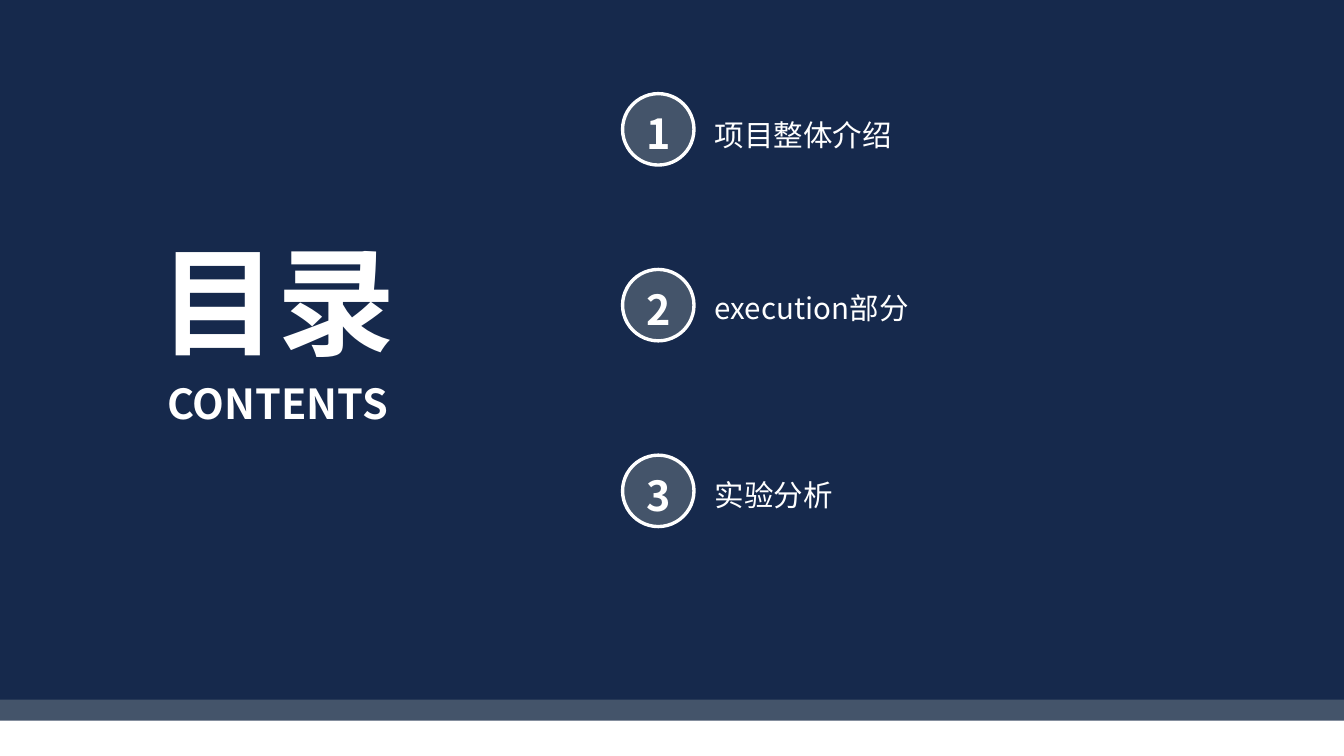
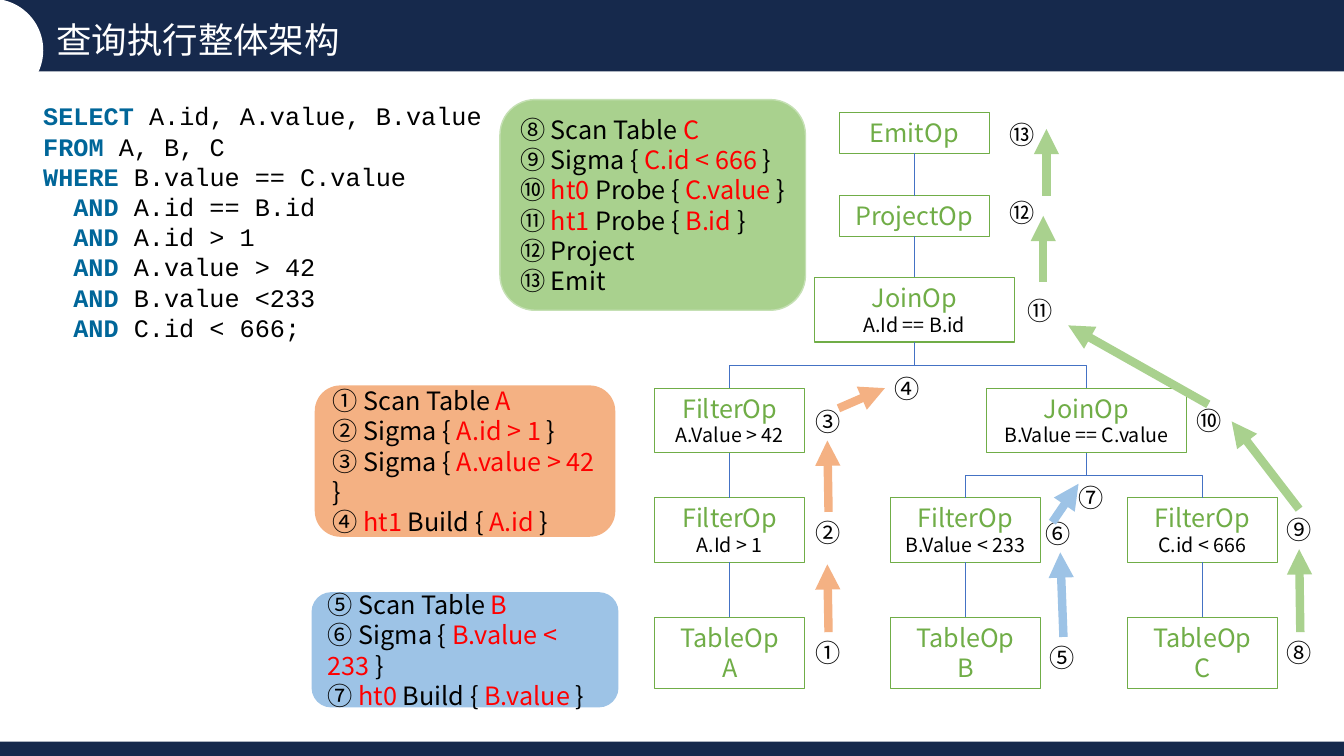
from lxml.etree import SubElement
from pptx import Presentation
from pptx.dml.color import RGBColor
from pptx.enum.shapes import MSO_CONNECTOR as CONN, MSO_SHAPE as SHAPE
from pptx.enum.text import MSO_ANCHOR as ANCHOR, MSO_AUTO_SIZE as AUTO, PP_ALIGN as ALIGN
from pptx.oxml.ns import qn
from pptx.util import Cm, Pt

NAVY = RGBColor(0x16, 0x29, 0x4C)
SLATE = RGBColor(0x44, 0x54, 0x6A)
WHITE = RGBColor(0xFF, 0xFF, 0xFF)
BLACK = RGBColor(0x00, 0x00, 0x00)
RED = RGBColor(0xFF, 0x00, 0x00)
KEYWORD = RGBColor(0x00, 0x66, 0x99)
OP_GREEN = RGBColor(0x70, 0xAD, 0x47)
LINK_BLUE = RGBColor(0x44, 0x72, 0xC4)
GREEN = RGBColor(0xA9, 0xD1, 0x8E)
PALE_GREEN = RGBColor(0xC5, 0xE0, 0xB4)
ORANGE = RGBColor(0xF4, 0xB1, 0x83)
BLUE = RGBColor(0x9D, 0xC3, 0xE6)

SANS = "Noto Sans CJK SC"
MONO = "Courier New"
SLIDE_W, SLIDE_H = 33.87, 19.05


def add_run(p, text, size, color, bold=False, font=SANS):
    """Append one formatted run to a paragraph."""
    r = p.add_run()
    r.text = text
    r.font.size, r.font.bold, r.font.name = Pt(size), bold, font
    r.font.color.rgb = color
    SubElement(r.font._element, qn("a:ea"), typeface=font)


def add_marked(p, text, size, accent, bold=False, font=SANS):
    """Append black text whose parts between bars take the accent colour."""
    for i, part in enumerate(text.split("|")):
        if part:
            marked = i % 2 == 1
            add_run(p, part, size, accent if marked else BLACK, bold and marked, font)


def paragraphs(tf, items):
    """Yield one paragraph of the frame for each item."""
    for i, item in enumerate(items):
        yield (tf.add_paragraph() if i else tf.paragraphs[0]), item


def add_box(s, kind, x, y, w, h, fill=None, line=None, width=1):
    """Add a preset shape with plain fill and line."""
    sp = s.shapes.add_shape(kind, Cm(x), Cm(y), Cm(w), Cm(h))
    sp.shadow.inherit = False
    if fill is None:
        sp.fill.background()
    else:
        sp.fill.solid()
        sp.fill.fore_color.rgb = fill
    if line is None:
        sp.line.fill.background()
    else:
        sp.line.color.rgb = line
        sp.line.width = Pt(width)
    return sp


def set_label(sp, text, size, bold=False, align=ALIGN.LEFT):
    """Write one white line, centred vertically and without margins."""
    tf = sp.text_frame
    tf.word_wrap = True
    tf.vertical_anchor = ANCHOR.MIDDLE
    tf.margin_left = tf.margin_right = tf.margin_top = tf.margin_bottom = 0
    p = tf.paragraphs[0]
    p.alignment, p.line_spacing = align, 1.16
    add_run(p, text, size, WHITE, bold)


def add_label(s, x, y, w, h, *style):
    """Add a text box holding one white line."""
    tb = s.shapes.add_textbox(Cm(x), Cm(y), Cm(w), Cm(h))
    set_label(tb, *style)
    tb.text_frame.auto_size = AUTO.SHAPE_TO_FIT_TEXT


def set_title(s, x, y, w, h, *style):
    """Place the title placeholder in front of the bands and fill it."""
    title = s.shapes.title
    s.shapes.element.append(title.element)
    title.left, title.top, title.width, title.height = Cm(x), Cm(y), Cm(w), Cm(h)
    set_label(title, *style)
    title.text_frame.auto_size = AUTO.SHAPE_TO_FIT_TEXT


def style_line(c, color, width, arrow=False):
    """Format a connector, without shadow and with an optional arrowhead."""
    c.line.color.rgb = color
    c.line.width = Pt(width)
    sp_pr = c.element.spPr
    if arrow:
        SubElement(sp_pr.find(qn("a:ln")), qn("a:tailEnd"), type="triangle")
    SubElement(sp_pr, qn("a:effectLst"))


def link(s, parent, child):
    """Join the bottom of a parent operator to the top of its child."""
    x1, y1 = parent.left + parent.width // 2, parent.top + parent.height
    x2, y2 = child.left + child.width // 2, child.top
    dx, dy = x2 - x1, y2 - y1
    kind = CONN.ELBOW if dx else CONN.STRAIGHT
    c = s.shapes.add_connector(kind, x1, y1, x2, y2)
    c.begin_connect(parent, 2)
    c.end_connect(child, 0)
    if dx:
        c.width, c.height = dy, abs(dx)
        c.left, c.top = (x1 + x2 - dy) // 2, (y1 + y2 - abs(dx)) // 2
        xfrm = c.element.spPr.find(qn("a:xfrm"))
        xfrm.set("rot", "16200000" if dx > 0 else "5400000")
        xfrm.set("flipH", "1" if dx > 0 else "0")
    style_line(c, LINK_BLUE, 0.5)


def add_operator(s, cx, y, w, h, name, detail, size, color):
    """Add an operator box centred on cx, with an optional second line."""
    sp = add_box(s, SHAPE.RECTANGLE, cx - w / 2, y, w, h, line=OP_GREEN, width=0.75)
    tf = sp.text_frame
    tf.word_wrap = True
    tf.vertical_anchor = ANCHOR.TOP
    tf.auto_size = AUTO.SHAPE_TO_FIT_TEXT
    lines = [(name, 18, OP_GREEN)] + ([(detail, size, color)] if detail else [])
    for p, line in paragraphs(tf, lines):
        p.alignment = ALIGN.CENTER
        add_run(p, *line)
    return sp


def add_tree(s, x, y):
    """Draw the operator tree with its links."""
    emit, project, join, upper, lower, table = 0, 2.09, 4.15, 6.94, 9.7, 12.71
    col_a, col_root, col_b, col_bc, col_c = 1.89, 6.54, 7.83, 10.88, 13.8
    single = (3.78, 1.02)
    double = (3.78, 1.63)
    wide = (5.05, 1.63)
    leaf = (3.78, 1.8)
    note = (14, BLACK)
    source = (18, OP_GREEN)
    nodes = {
        "emit": (col_root, emit, single, "EmitOp", "", note, ["project"]),
        "project": (col_root, project, single, "ProjectOp", "", note, ["join"]),
        "join": (col_root, join, wide, "JoinOp", "A.Id == B.id", note, ["value_a", "join_bc"]),
        "value_a": (col_a, upper, double, "FilterOp", "A.Value > 42", note, ["id_a"]),
        "join_bc": (col_bc, upper, wide, "JoinOp", "B.Value == C.value", note,
                    ["value_b", "id_c"]),
        "id_a": (col_a, lower, double, "FilterOp", "A.Id > 1", note, ["table_a"]),
        "value_b": (col_b, lower, double, "FilterOp", "B.Value < 233", note, ["table_b"]),
        "id_c": (col_c, lower, double, "FilterOp", "C.id < 666", note, ["table_c"]),
        "table_a": (col_a, table, leaf, "TableOp", "A", source, []),
        "table_b": (col_b, table, leaf, "TableOp", "B", source, []),
        "table_c": (col_c, table, leaf, "TableOp", "C", source, []),
    }
    ops = {key: add_operator(s, x + cx, y + top, *size, name, detail, *style)
           for key, (cx, top, size, name, detail, style, _) in nodes.items()}
    for key, node in nodes.items():
        for child in node[-1]:
            link(s, ops[key], ops[child])


def add_steps(s, x, y):
    """Number the execution steps around the tree."""
    steps = [
        ("①", 3.79, 13.09), ("②", 3.79, 10.06), ("③", 3.79, 7.27), ("④", 5.8, 6.43),
        ("⑤", 9.71, 13.21), ("⑥", 9.61, 10.09), ("⑦", 10.42, 9.2),
        ("⑧", 15.68, 13.09), ("⑨", 15.66, 9.99), ("⑩", 13.4, 7.24),
        ("⑪", 9.15, 4.48), ("⑫", 8.7, 2.01), ("⑬", 8.7, 0.03),
    ]
    for mark, dx, dy in steps:
        w = 1.3 if mark in "⑪⑫⑬" else 1.14
        tb = s.shapes.add_textbox(Cm(x + dx), Cm(y + dy), Cm(w), Cm(1.02))
        tf = tb.text_frame
        tf.word_wrap = False
        tf.auto_size = AUTO.SHAPE_TO_FIT_TEXT
        add_run(tf.paragraphs[0], mark, 18, BLACK)


def add_flow(s, x, y):
    """Draw the coloured arrows between the steps."""
    flows = {
        ORANGE: [(4.38, 13.09, 4.35, 11.38), (4.38, 10.06, 4.35, 8.26),
                 (4.63, 7.45, 5.8, 6.94)],
        BLUE: [(10.3, 13.21, 10.22, 11.08), (10.02, 10.32, 10.68, 9.35)],
        GREEN: [(16.27, 13.09, 16.24, 11), (16.24, 9.99, 14.54, 7.78),
                (13.95, 7.35, 10.42, 5.36), (9.79, 4.27, 9.79, 2.6),
                (9.87, 2.09, 9.87, 0.41)],
    }
    for color, arrows in flows.items():
        for x1, y1, x2, y2 in arrows:
            c = s.shapes.add_connector(CONN.STRAIGHT, Cm(x + x1), Cm(y + y1),
                                       Cm(x + x2), Cm(y + y2))
            style_line(c, color, 6, arrow=True)


def add_panel(s, x, y, w, h, fill, line, lines):
    """Add a rounded panel listing one pipeline."""
    sp = add_box(s, SHAPE.ROUNDED_RECTANGLE, x, y, w, h, fill, line)
    tf = sp.text_frame
    tf.word_wrap = True
    tf.vertical_anchor = ANCHOR.MIDDLE
    for p, text in paragraphs(tf, lines):
        p.alignment = ALIGN.LEFT
        add_marked(p, text, 18, RED)


def add_query(s, x, y, w, h):
    """Add the SQL query with bold keywords and indented conditions."""
    lines = [
        "|SELECT| A.id, A.value, B.value", "|FROM| A, B, C",
        "|WHERE| B.value == C.value", "|AND| A.id == B.id", "|AND| A.id > 1",
        "|AND| A.value > 42", "|AND| B.value <233", "|AND| C.id < 666;",
    ]
    tf = s.shapes.add_textbox(Cm(x), Cm(y), Cm(w), Cm(h)).text_frame
    tf.word_wrap = True
    tf.auto_size = AUTO.SHAPE_TO_FIT_TEXT
    for p, text in paragraphs(tf, lines):
        if text.startswith("|AND"):
            p._p.get_or_add_pPr().set("marL", str(Cm(0.76)))
        add_marked(p, text, 18, KEYWORD, True, MONO)


def add_entry(s, x, y, number, text, label_y):
    """Add a numbered circle and its contents entry."""
    circle = add_box(s, SHAPE.OVAL, x, y, 1.8, 1.8, SLATE, WHITE, 2.4)
    set_label(circle, number, 29.5, True, ALIGN.CENTER)
    add_label(s, x + 2.32, label_y, 11.15, 0.99, text, 21.1)


def contents_slide(prs):
    """Build the table of contents."""
    s = prs.slides.add_slide(prs.slide_layouts[5])
    add_box(s, SHAPE.RECTANGLE, 0, 17.12, SLIDE_W, 1.04, SLATE)
    add_box(s, SHAPE.RECTANGLE, 0, 0, SLIDE_W, 17.63, NAVY)
    set_title(s, 2.72, 5.31, 8.56, 3.91, "目录", 84.4, True, ALIGN.CENTER)
    add_label(s, 3.33, 9.37, 7.34, 1.37, "CONTENTS", 29.5, True, ALIGN.CENTER)
    add_entry(s, 15.69, 2.36, "1", "项目整体介绍", 2.82)
    add_entry(s, 15.69, 6.79, "2", "execution部分", 7.19)
    add_entry(s, 15.69, 11.47, "3", "实验分析", 11.91)


def architecture_slide(prs):
    """Build the query execution overview."""
    s = prs.slides.add_slide(prs.slide_layouts[5])
    add_box(s, SHAPE.RECTANGLE, 0, 0, SLIDE_W, 1.8, NAVY)
    add_box(s, SHAPE.OVAL, -1.5, -0.03, 2.59, 2.59, WHITE)
    set_title(s, 1.42, 0.28, 11.46, 1.24, "查询执行整体架构", 25.3)
    add_box(s, SHAPE.RECTANGLE, 0, 18.69, SLIDE_W, 0.36, NAVY)
    add_query(s, 0.84, 2.41, 12.62, 6.4)
    add_tree(s, 16.5, 2.84)
    add_steps(s, 16.5, 2.84)
    add_panel(s, 12.6, 2.51, 7.7, 5.31, GREEN, PALE_GREEN, [
        "⑧ Scan Table |C", "⑨ Sigma { |C.id < 666 |}",
        "⑩ |ht0| Probe { |C.value| }", "⑪ |ht1| Probe { |B.id| }",
        "⑫ Project", "⑬ Emit"])
    add_panel(s, 7.95, 9.73, 7.54, 3.78, ORANGE, ORANGE, [
        "① Scan Table |A", "② Sigma { |A.id > 1 |}",
        "③ Sigma { |A.value > 42 |}", "④ |ht1| Build { |A.id| }"])
    add_panel(s, 7.87, 14.94, 7.7, 2.87, BLUE, BLUE, [
        "⑤ Scan Table |B", "⑥ Sigma { |B.value < 233 |}",
        "⑦ |ht0| Build { |B.value| }"])
    add_flow(s, 16.5, 2.84)


def main():
    """Build and save the presentation."""
    prs = Presentation()
    prs.slide_width, prs.slide_height = Cm(SLIDE_W), Cm(SLIDE_H)
    contents_slide(prs)
    architecture_slide(prs)
    prs.save("out.pptx")


if __name__ == "__main__":
    main()
